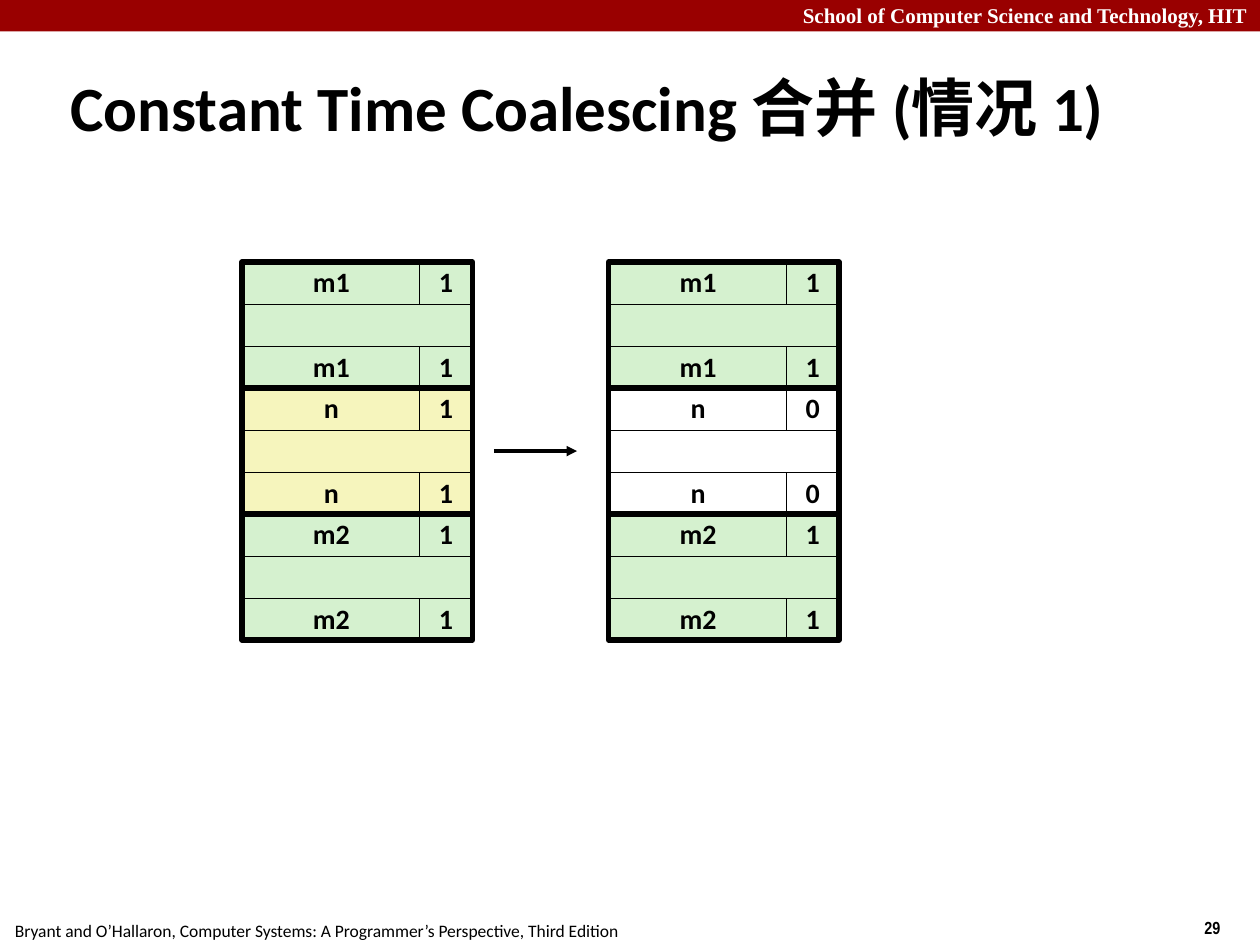
import pptx
import pptx.util
import pptx.dml.color
import pptx.enum.shapes
import pptx.enum.text
import pptx.oxml
import pptx.oxml.ns

Inches, Pt = pptx.util.Inches, pptx.util.Pt
PP_ALIGN = pptx.enum.text.PP_ALIGN
MIDDLE = pptx.enum.text.MSO_ANCHOR.MIDDLE
RECT = pptx.enum.shapes.MSO_SHAPE.RECTANGLE


def rgb(value):
    return pptx.dml.color.RGBColor.from_string(value)


def add_box(x, y, w, h, fill=None, line=None, text=""):
    sp = s.shapes.add_shape(RECT, Inches(x), Inches(y), Inches(w), Inches(h))
    sp.shadow.inherit = False
    if fill:
        sp.fill.solid()
        sp.fill.fore_color.rgb = rgb(fill)
    else:
        sp.fill.background()
    if line:
        sp.line.color.rgb = rgb("000000")
        sp.line.width = Pt(line)
    else:
        sp.line.fill.background()
    if text:
        tf = sp.text_frame
        tf.word_wrap = False
        tf.vertical_anchor = MIDDLE
        p = tf.paragraphs[0]
        p.text = text
        p.alignment = PP_ALIGN.CENTER
        p.line_spacing = 0.98
        p.font.name = "Calibri"
        p.font.size = Pt(16)
        p.font.bold = True
        p.font.color.rgb = rgb("000000")


prs = pptx.Presentation()
prs.slide_width, prs.slide_height = Inches(10), Inches(7.5)
s = prs.slides.add_slide(prs.slide_layouts[5])

title = s.shapes.title
title.left, title.top = Inches(0.46), Inches(0.53)
title.width, title.height = Inches(9.08), Inches(0.63)
tf = title.text_frame
tf.auto_size = pptx.enum.text.MSO_AUTO_SIZE.NONE
tf.vertical_anchor = MIDDLE
p = tf.paragraphs[0]
p.text = "Constant Time Coalescing 合并 (情况 1)"
p.alignment = PP_ALIGN.LEFT
p.font.name = "Calibri"
p.font.size = Pt(36)
p.font.bold = True
p.font.color.rgb = rgb("000000")

add_box(0, 0, 10, 0.25, "990000")

labels = [
    (9.46, 7.23, 0.75, 0.27, "29", "Arial Narrow", 10, "000000", True, PP_ALIGN.LEFT),
    (0.02, 7.25, 5.01, 0.27,
     "Bryant and O’Hallaron, Computer Systems: A Programmer’s Perspective, Third Edition",
     "Calibri", 10, "000000", False, PP_ALIGN.LEFT),
    (0, -0.03, 10, 0.3, "School of Computer Science and Technology, HIT",
     "Times New Roman", 12, "FFFFFF", True, PP_ALIGN.RIGHT),
]
for x, y, w, h, text, font, size, color, bold, align in labels:
    tb = s.shapes.add_textbox(Inches(x), Inches(y), Inches(w), Inches(h))
    tb.text_frame.word_wrap = True
    p = tb.text_frame.paragraphs[0]
    p.text = text
    p.alignment = align
    p.font.name = font
    p.font.size = Pt(size)
    p.font.bold = bold
    p.font.color.rgb = rgb(color)

GREEN, YELLOW, WHITE = "D5F1CF", "F6F5BD", "FFFFFF"
top, row_h = 2.08, 1 / 3
size_w, flag_w = 1.42, 0.42
block_w = 1.83
columns = [
    (1.92, [("m1", "1", GREEN), ("n", "1", YELLOW), ("m2", "1", GREEN)]),
    (4.83, [("m1", "1", GREEN), ("n", "0", WHITE), ("m2", "1", GREEN)]),
]
for x, blocks in columns:
    for i, (size, flag, fill) in enumerate(blocks):
        y = top + i
        for tag_y in (y, y + 2 * row_h):
            add_box(x, tag_y, size_w, row_h, fill, 0.25, size)
            add_box(x + block_w - flag_w, tag_y, flag_w, row_h, fill, 0.25, flag)
        add_box(x, y + row_h, block_w, row_h, fill, 0.25)
        add_box(x, y, block_w, 1, line=3)

arrow = s.shapes.add_connector(pptx.enum.shapes.MSO_CONNECTOR.STRAIGHT,
                               Inches(3.92), Inches(3.58), Inches(4.58), Inches(3.58))
arrow.line.color.rgb = rgb("000000")
arrow.line.width = Pt(2)
ln = arrow.line._get_or_add_ln()
ln.append(pptx.oxml.parse_xml(
    '<a:tailEnd %s type="triangle"/>' % pptx.oxml.ns.nsdecls("a")))
ln.addnext(pptx.oxml.parse_xml("<a:effectLst %s/>" % pptx.oxml.ns.nsdecls("a")))

prs.save("out.pptx")
